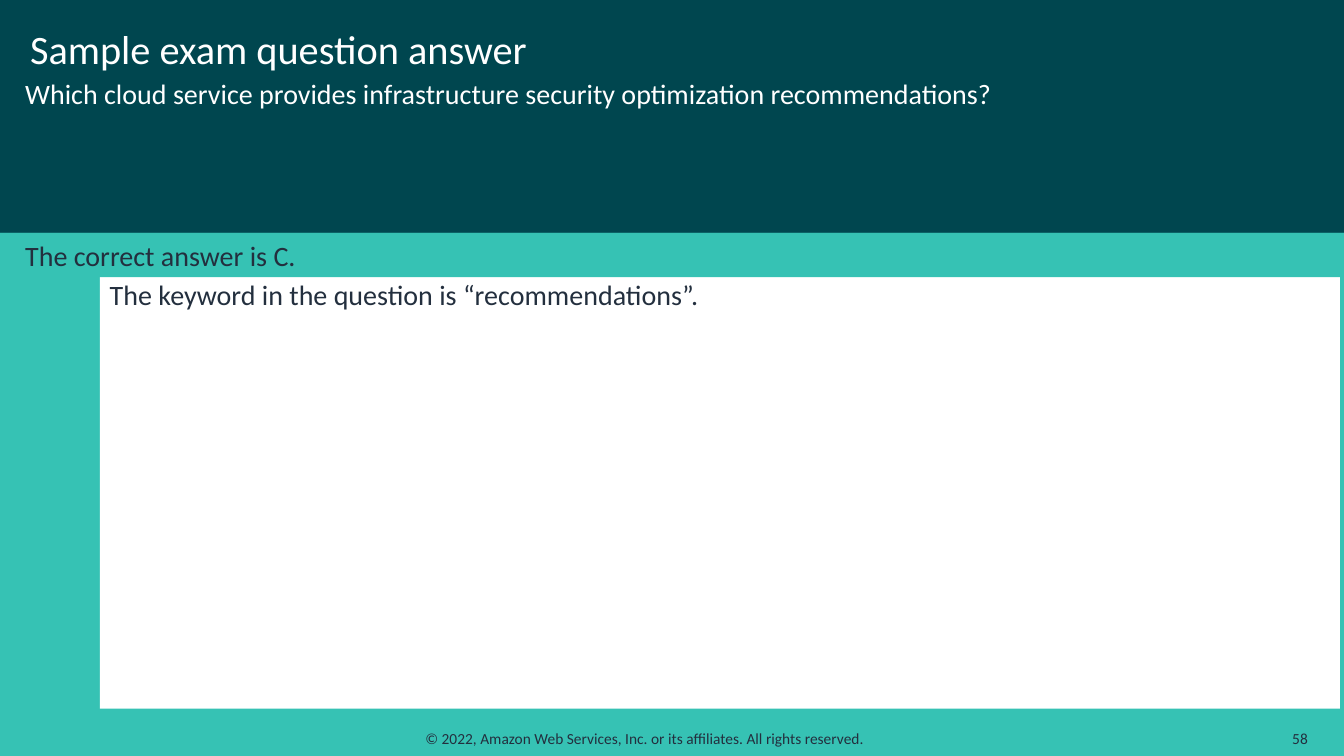
from pptx import Presentation
from pptx.dml.color import RGBColor
from pptx.enum import shapes, text
from pptx.util import Inches, Pt

DARK_TEAL = RGBColor(0x00, 0x46, 0x4F)
TEAL = RGBColor(0x36, 0xC2, 0xB4)
NAVY = RGBColor(0x23, 0x2F, 0x3E)
WHITE = RGBColor(0xFF, 0xFF, 0xFF)

FONT = "Calibri"
SLIDE_WIDTH, SLIDE_HEIGHT = 13.33, 7.5
BAND_HEIGHT = 2.31
TOP, MIDDLE = text.MSO_ANCHOR.TOP, text.MSO_ANCHOR.MIDDLE


def add_panel(slide, box, color):
    panel = slide.shapes.add_shape(
        shapes.MSO_SHAPE.RECTANGLE, *(Inches(length) for length in box))
    panel.shadow.inherit = False
    panel.fill.solid()
    panel.fill.fore_color.rgb = color
    panel.line.fill.background()
    return panel


def add_text_box(slide, box):
    return slide.shapes.add_textbox(*(Inches(length) for length in box))


def write_text(shape, wording, size, color, anchor=TOP,
               insets=(0.1, 0.05, 0.1, 0.05), align=text.PP_ALIGN.LEFT):
    frame = shape.text_frame
    frame.word_wrap = True
    frame.vertical_anchor = anchor
    (frame.margin_left, frame.margin_top,
     frame.margin_right, frame.margin_bottom) = (Inches(inset) for inset in insets)
    paragraph = frame.paragraphs[0]
    paragraph.alignment = align
    run = paragraph.add_run()
    run.text = wording
    run.font.name = FONT
    run.font.size = Pt(size)
    run.font.color.rgb = color


def add_question_band(slide, left, top, width, height):
    add_panel(slide, (left, top, width, height), DARK_TEAL)
    title = add_text_box(slide, (left + 0.2, top + 0.2, width - 0.46, 0.55))
    write_text(title, "Sample exam question answer", 28.8, WHITE, MIDDLE)
    question = add_panel(slide, (left, top + 0.76, width, height - 0.77), DARK_TEAL)
    write_text(
        question,
        "Which cloud service provides infrastructure security optimization recommendations?",
        20, WHITE, insets=(0.25, 0, 0.2, 0))


def add_answer_area(slide, left, top, width, height):
    add_panel(slide, (left, top, width, height), TEAL)
    explanation = add_panel(
        slide, (left + 0.99, top + 0.34, width - 1.03, height - 0.81), WHITE)
    write_text(explanation, "The keyword in the question is “recommendations”.",
               20, NAVY, insets=(0.1, 0.1, 0.2, 0))
    answer = add_panel(slide, (left, top, width, 0.44), TEAL)
    write_text(answer, "The correct answer is C.", 20, NAVY, MIDDLE,
               insets=(0.25, 0, 0.1, 0))


def add_footer(slide, left, top, width, height):
    copyright_line = add_text_box(slide, (left + 4.12, top, 5.09, height))
    write_text(
        copyright_line,
        "© 2022, Amazon Web Services, Inc. or its affiliates. All rights reserved.",
        11, NAVY)
    page_number = add_text_box(slide, (left + width - 0.79, top, 0.53, height))
    write_text(page_number, "58", 11, NAVY, MIDDLE, align=text.PP_ALIGN.RIGHT)


def main():
    presentation = Presentation()
    presentation.slide_width = Inches(SLIDE_WIDTH)
    presentation.slide_height = Inches(SLIDE_HEIGHT)
    slide = presentation.slides.add_slide(presentation.slide_layouts[6])
    add_question_band(slide, 0, 0, SLIDE_WIDTH, BAND_HEIGHT)
    add_answer_area(slide, 0, BAND_HEIGHT, SLIDE_WIDTH, SLIDE_HEIGHT - BAND_HEIGHT)
    add_footer(slide, 0, 7.18, SLIDE_WIDTH, 0.29)
    presentation.save("out.pptx")


if __name__ == "__main__":
    main()
